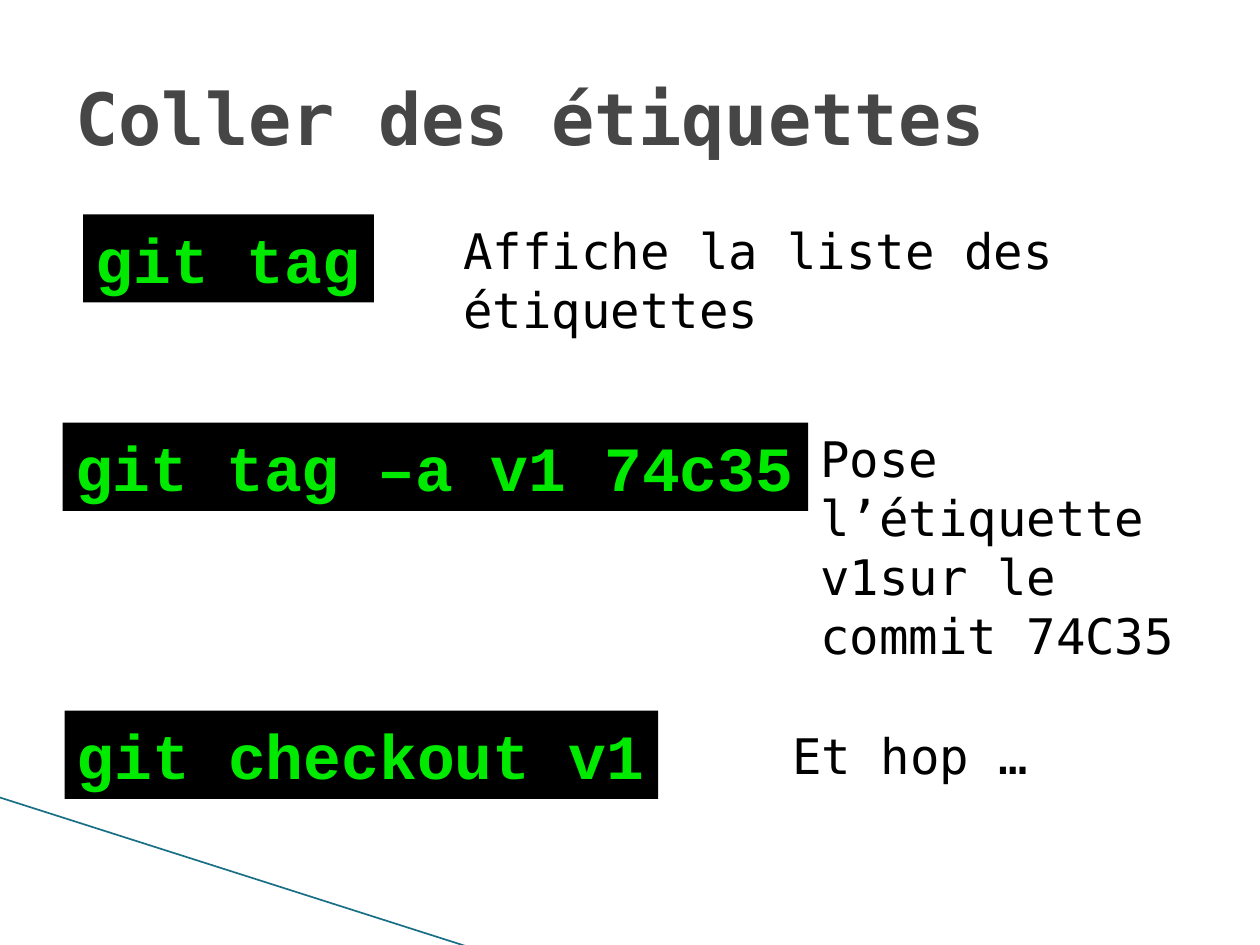
from lxml import etree
from pptx import Presentation
from pptx.dml.color import RGBColor
from pptx.enum.shapes import MSO_CONNECTOR, MSO_SHAPE
from pptx.enum.text import MSO_ANCHOR, MSO_AUTO_SIZE, PP_ALIGN
from pptx.oxml.ns import qn
from pptx.util import Pt

LEFT = PP_ALIGN.LEFT
TOP, MIDDLE = MSO_ANCHOR.TOP, MSO_ANCHOR.MIDDLE
NO_FIT, GROW = MSO_AUTO_SIZE.NONE, MSO_AUTO_SIZE.SHAPE_TO_FIT_TEXT
RECTANGLE = MSO_SHAPE.RECTANGLE
STRAIGHT = MSO_CONNECTOR.STRAIGHT

MONO, CODE = "DejaVu Sans Mono", "Courier New"


def color(hex_value):
    return RGBColor.from_string(hex_value)


def write(shape, text, size, font, ink, bold=False, wrap=True, anchor=TOP, fit=GROW):
    frame = shape.text_frame
    frame.word_wrap = wrap
    frame.auto_size = fit
    frame.vertical_anchor = anchor
    paragraph = frame.paragraphs[0]
    paragraph.alignment = LEFT
    run = paragraph.add_run()
    run.text = text
    run.font.size = Pt(size)
    run.font.name = font
    run.font.bold = bold
    run.font.color.rgb = color(ink)


deck = Presentation()
deck.slide_width, deck.slide_height = Pt(720), Pt(540)
slide = deck.slides.add_slide(deck.slide_layouts[6])
shapes = slide.shapes

# Diagonal line in the bottom left corner
corner_line = shapes.add_connector(STRAIGHT, Pt(-0.5), Pt(455.6), Pt(267.4), Pt(541))
corner_line.line.color.rgb = color("196F85")
corner_line.line.width = Pt(0.96)
etree.SubElement(corner_line._element.spPr, qn("a:effectLst"))

# Title
title = shapes.add_textbox(Pt(36), Pt(21.6), Pt(648), Pt(90))
write(title, "Coller des étiquettes", 41.1, MONO, "464646",
      bold=True, anchor=MIDDLE, fit=NO_FIT)

# Commands: left, top, width, text
commands = [
    (47.6, 122.5, 166.1, "git tag"),
    (35.8, 241.6, 426, "git tag –a v1 74c35"),
    (36.9, 406.1, 339.2, "git checkout v1"),
]
for left, top, width, text in commands:
    command = shapes.add_shape(RECTANGLE, Pt(left), Pt(top), Pt(width), Pt(50.4))
    command.shadow.inherit = False
    command.fill.solid()
    command.fill.fore_color.rgb = color("000000")
    command.line.fill.background()
    write(command, text, 36, CODE, "00EA00", bold=True, wrap=False)

# Explanations: left, top, width, height, text
explanations = [
    (257.8, 122.4, 436.3, 41, "Affiche la liste des étiquettes"),
    (461.8, 241.6, 232.6, 108, "Pose l’étiquette v1sur le commit 74C35"),
    (445.7, 411.1, 252, 41, "Et hop …"),
]
for left, top, width, height, text in explanations:
    explanation = shapes.add_textbox(Pt(left), Pt(top), Pt(width), Pt(height))
    write(explanation, text, 28, MONO, "000000")

deck.save("out.pptx")
